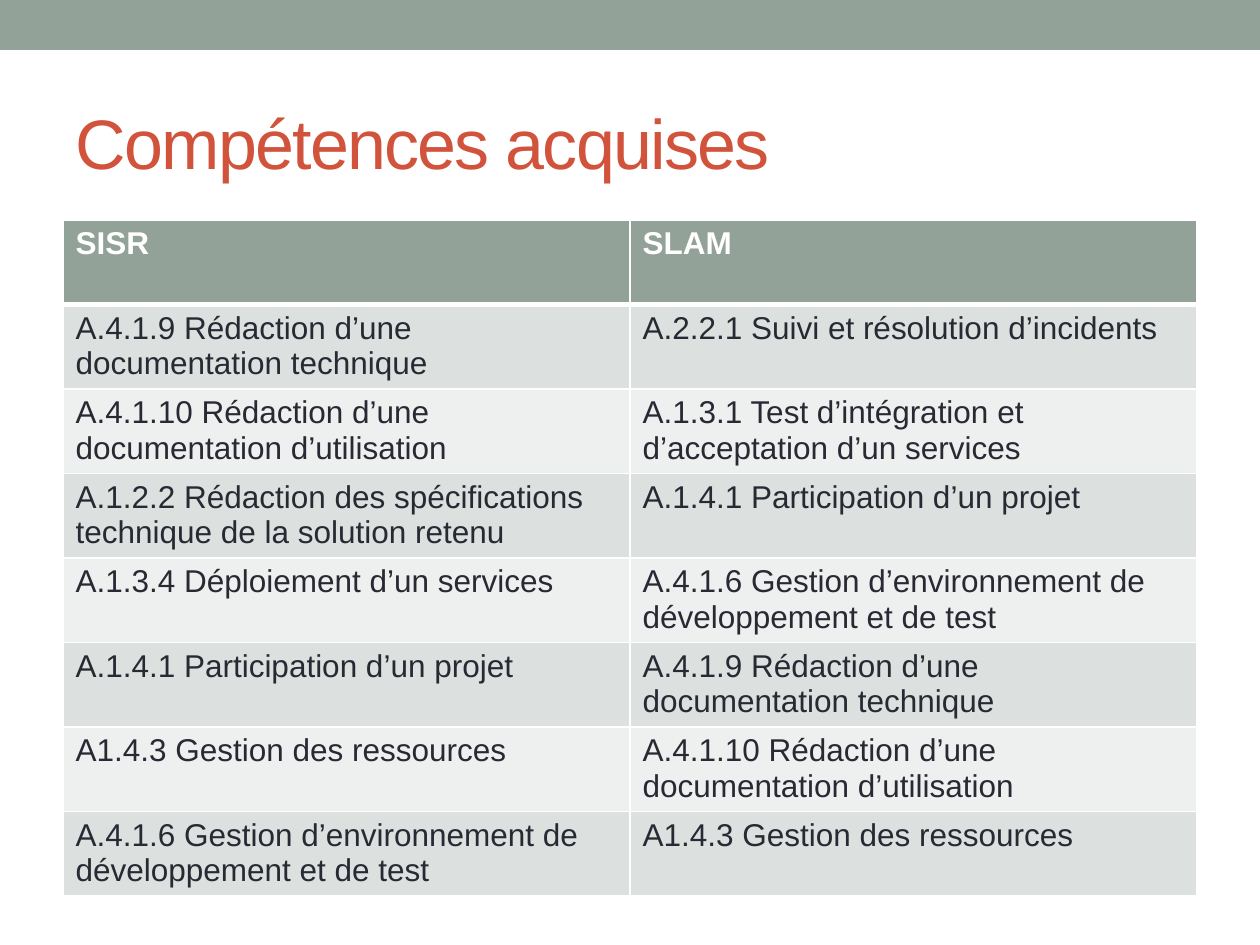
from lxml.etree import SubElement
from pptx import Presentation
from pptx.dml.color import RGBColor
from pptx.enum.shapes import MSO_SHAPE as Preset
from pptx.enum.text import MSO_ANCHOR as Anchor, PP_ALIGN as Align
from pptx.oxml.ns import qn
from pptx.util import Pt

PX = 914400 / 126
COLORS = {
    "sage": "93A299",
    "brick": "D2533C",
    "ink": "292934",
    "white": "FFFFFF",
    "dark_band": "DCE0DE",
    "light_band": "EEF0EF",
}
SKILLS = [
    ("SISR", "SLAM"),
    ("A.4.1.9 Rédaction d’une documentation technique",
     "A.2.2.1 Suivi et résolution d’incidents"),
    ("A.4.1.10 Rédaction d’une documentation d’utilisation",
     "A.1.3.1 Test d’intégration et d’acceptation d’un services"),
    ("A.1.2.2 Rédaction des spécifications technique de la solution retenu",
     "A.1.4.1 Participation d’un projet"),
    ("A.1.3.4 Déploiement d’un services",
     "A.4.1.6 Gestion d’environnement de développement et de test"),
    ("A.1.4.1 Participation d’un projet",
     "A.4.1.9 Rédaction d’une documentation technique"),
    ("A1.4.3 Gestion des ressources",
     "A.4.1.10 Rédaction d’une documentation d’utilisation"),
    ("A.4.1.6 Gestion d’environnement de développement et de test",
     "A1.4.3 Gestion des ressources"),
]


def px(length):
    return round(length * PX)


def color(name):
    return RGBColor.from_string(COLORS[name])


def style_font(font, size, color_name, bold=False):
    font.name = "Arial"
    font.size = Pt(size)
    font.bold = bold
    font.color.rgb = color(color_name)


def add_top_band(slide, box):
    band = slide.shapes.add_shape(Preset.RECTANGLE, *map(px, box))
    band.shadow.inherit = False
    band.fill.solid()
    band.fill.fore_color.rgb = color("sage")
    band.line.fill.background()


def place_title(slide, box, wording):
    title = slide.shapes.title
    title.left, title.top, title.width, title.height = map(px, box)
    frame = title.text_frame
    frame.text = wording
    frame.vertical_anchor = Anchor.MIDDLE
    heading = frame.paragraphs[0]
    heading.alignment = Align.LEFT
    style_font(heading.font, 40, "brick")
    heading.runs[0].font._element.set("spc", "-100")


def set_borders(cell, widths):
    properties = cell._tc.get_or_add_tcPr()
    for side, width in widths.items():
        border = SubElement(properties, qn(f"a:ln{side}"), w=str(Pt(width)))
        fill = SubElement(border, qn("a:solidFill"))
        SubElement(fill, qn("a:srgbClr"), val=COLORS["white"])


def add_skills_table(slide, box):
    frame = slide.shapes.add_table(len(SKILLS), len(SKILLS[0]), *map(px, box))
    for row, skills in enumerate(SKILLS):
        header = row == 0
        band = "sage" if header else "dark_band" if row % 2 else "light_band"
        for column, skill in enumerate(skills):
            cell = frame.table.cell(row, column)
            cell.text = skill
            style_font(cell.text_frame.paragraphs[0].font, 18,
                       "white" if header else "ink", header)
            set_borders(cell, {"L": 1, "R": 1, "T": 3 if row == 1 else 1,
                               "B": 3 if header else 1})
            cell.fill.solid()
            cell.fill.fore_color.rgb = color(band)


def main():
    deck = Presentation()
    deck.slide_width, deck.slide_height = px(1260), px(945)
    slide = deck.slides.add_slide(deck.slide_layouts[5])
    add_top_band(slide, (0, 0, 1260, 50))
    place_title(slide, (63, 73, 1134, 136), "Compétences acquises")
    add_skills_table(slide, (63, 220, 1134, 676))
    deck.save("out.pptx")


if __name__ == "__main__":
    main()
